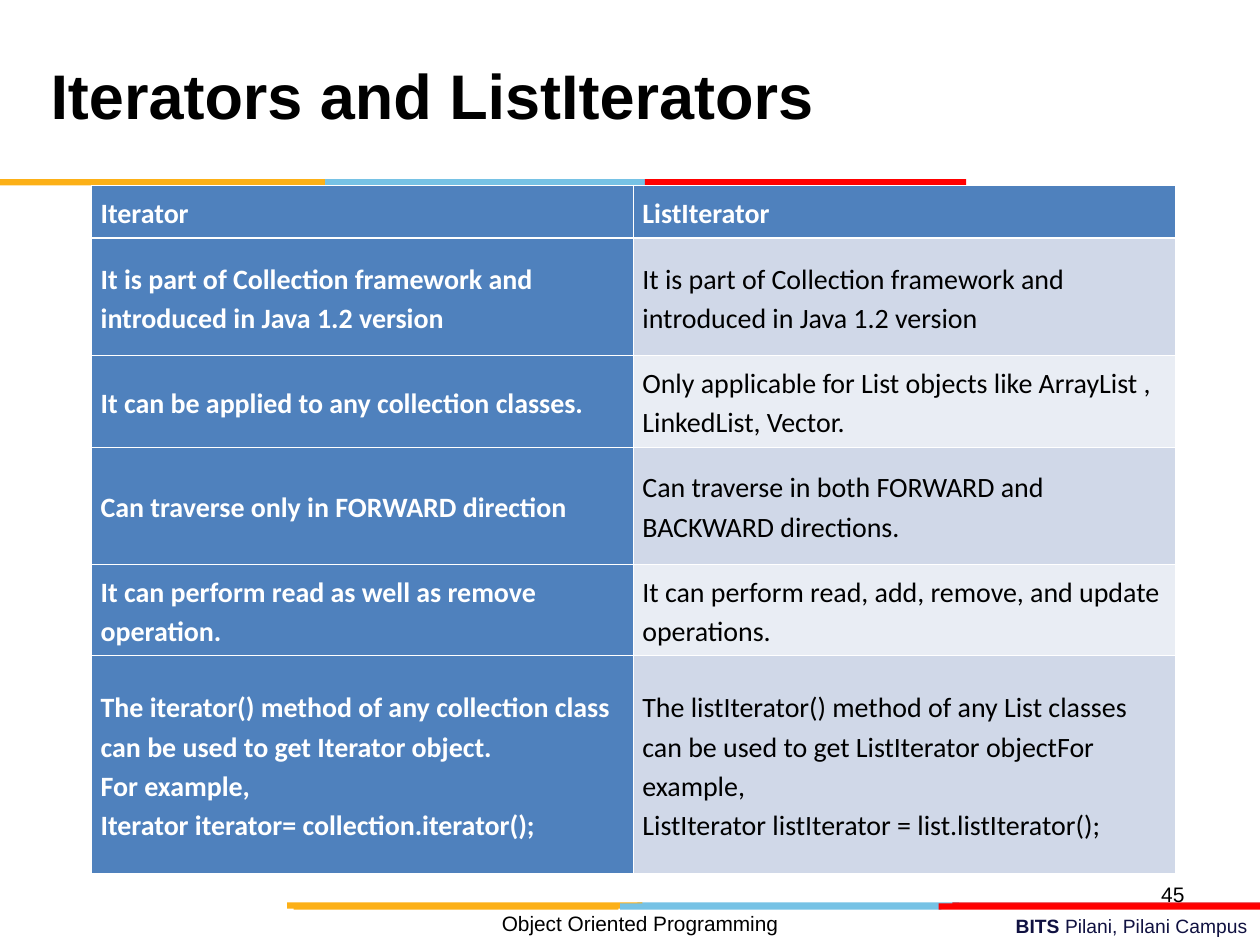
from lxml.etree import SubElement
from pptx import Presentation
from pptx.dml.color import RGBColor
from pptx.enum.shapes import MSO_SHAPE as Shape
from pptx.enum.text import MSO_ANCHOR as Anchor, PP_ALIGN as Align
from pptx.oxml.ns import qn
from pptx.util import Cm, Pt

COLORS = {
    "yellow": "FCB017", "blue": "76C2E5", "red": "FF0000", "dark_red": "E31C24",
    "navy": "101141", "black": "000000", "white": "FFFFFF",
    "header": "4F81BD", "band_dark": "D0D8E8", "band_light": "E9EDF4",
}

# Each stripe: top, then its (left, width, color) segments in cm
STRIPES = [
    (18.19, [(12.85, 6.48, "blue"), (19.2, 6.2, "dark_red"), (5.79, 7.16, "yellow")]),
    (18.21, [(12.5, 6.48, "blue"), (5.92, 6.55, "yellow"), (18.92, 6.48, "red")]),
    (3.61, [(6.55, 6.48, "blue"), (0, 6.55, "yellow"), (13, 6.48, "red")]),
]

ROW_HEIGHTS = [1.07, 2.36, 1.85, 2.36, 1.85, 4.39]
# Each cell is a list of paragraphs; no-break spaces hold some words together
COMPARISON = [
    (["Iterator"], ["ListIterator"]),
    (["It is part of Collection framework and introduced in Java 1.2 version"],
     ["It is part of Collection framework and introduced in Java 1.2 version"]),
    (["It can be applied to any collection classes."],
     ["Only applicable for List objects like ArrayList , LinkedList, Vector."]),
    (["Can traverse only in FORWARD direction"],
     ["Can traverse in both FORWARD and BACKWARD directions."]),
    (["It can perform read as well as remove operation."],
     ["It can perform read, add, remove, and update operations."]),
    (["The iterator() method of any collection class can be used to get Iterator object.\n"
      "For example,",
      "Iterator iterator= collection.iterator();"],
     ["The listIterator() method of any List classes can be used to get ListIterator "
      "objectFor example,",
      "ListIterator listIterator = list.listIterator();"]),
]


def rgb(color):
    return RGBColor.from_string(COLORS[color])


def style(font, size, color, bold=False, name="Arial"):
    font.name, font.size, font.bold = name, Pt(size), bold
    font.color.rgb = rgb(color)


def add_stripe(slide, top, segments):
    for left, width, color in segments:
        segment = slide.shapes.add_shape(
            Shape.RECTANGLE, Cm(left), Cm(top), Cm(width), Cm(0.13))
        segment.shadow.inherit = False
        segment.fill.solid()
        segment.fill.fore_color.rgb = rgb(color)
        segment.line.fill.background()


def add_label(slide, left, top, width, height, text, size, align, color="black"):
    frame = slide.shapes.add_textbox(Cm(left), Cm(top), Cm(width), Cm(height)).text_frame
    frame.word_wrap = True
    paragraph = frame.paragraphs[0]
    paragraph.text = text
    paragraph.alignment = align
    style(paragraph.font, size, color)
    return frame


def add_title(slide, text):
    frame = add_label(slide, 0.84, 0.43, 17.58, 3.18, text, 36, Align.LEFT)
    frame.margin_left = frame.margin_right = Cm(0.18)
    frame.vertical_anchor = Anchor.MIDDLE
    frame.paragraphs[0].line_spacing = Pt(36)
    frame.paragraphs[0].font.bold = True


def add_campus(slide):
    frame = add_label(slide, 9.09, 18.31, 16.31, 0.74, "BITS ", 11, Align.RIGHT, "navy")
    frame.paragraphs[0].runs[0].font.bold = True
    frame.paragraphs[0].add_run().text = "Pilani, Pilani Campus"


def set_borders(cell, widths):
    for side, width in widths.items():
        line = SubElement(cell._tc.get_or_add_tcPr(), qn(f"a:ln{side}"), w=str(Pt(width)))
        fill = SubElement(line, qn("a:solidFill"))
        SubElement(fill, qn("a:srgbClr"), val=COLORS["white"])


def fill_cell(cell, paragraphs, row, column):
    emphasized = row == 0 or column == 0
    band = "band_dark" if row % 2 else "band_light"
    set_borders(cell, {"L": 0.45, "R": 0.45,
                       "T": 1.47 if row == 1 else 0.45,
                       "B": 1.47 if row == 0 else 0.45})
    cell.fill.solid()
    cell.fill.fore_color.rgb = rgb("header" if emphasized else band)
    cell.vertical_anchor = Anchor.MIDDLE
    cell.margin_left = cell.margin_right = Cm(0.18)
    cell.margin_top = cell.margin_bottom = Cm(0.13)
    frame = cell.text_frame
    for index, text in enumerate(paragraphs):
        paragraph = frame.add_paragraph() if index else frame.paragraphs[0]
        paragraph.text = text
        paragraph.line_spacing = 1.15
        if index:
            paragraph.space_after = Pt(18)
        style(paragraph.font, 16, "white" if emphasized else "black", emphasized, "Calibri")


def add_comparison(slide):
    table = slide.shapes.add_table(
        len(COMPARISON), 2, Cm(1.85), Cm(3.73), Cm(21.84), Cm(sum(ROW_HEIGHTS))).table
    for row, (height, cells) in enumerate(zip(ROW_HEIGHTS, COMPARISON)):
        table.rows[row].height = Cm(height)
        for column, paragraphs in enumerate(cells):
            fill_cell(table.cell(row, column), paragraphs, row, column)


def main():
    deck = Presentation()
    deck.slide_width, deck.slide_height = Cm(25.4), Cm(19.05)
    slide = deck.slides.add_slide(deck.slide_layouts[6])

    # Campus line and colored stripes
    add_campus(slide)
    for top, segments in STRIPES:
        add_stripe(slide, top, segments)

    # Title, footer and page number
    add_title(slide, "Iterators and ListIterators")
    add_label(slide, 0.11, 18.24, 25.58, 0.81, "Object Oriented Programming", 11.9, Align.CENTER)
    add_label(slide, 18.21, 17.65, 5.92, 1.02, "45", 12, Align.RIGHT)

    # Comparison table
    add_comparison(slide)
    deck.save("out.pptx")


if __name__ == "__main__":
    main()
